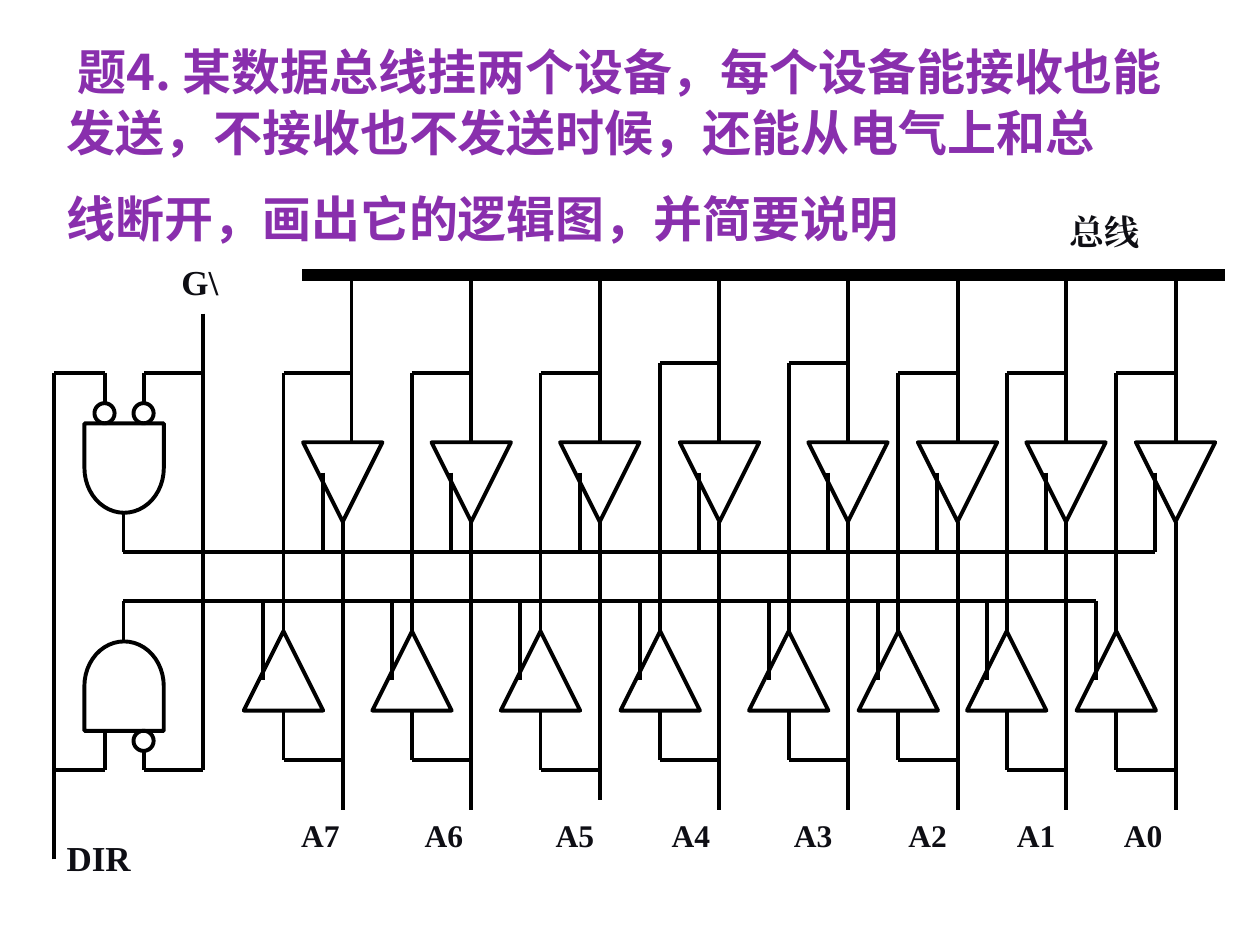
from itertools import pairwise
from lxml.etree import SubElement
from pptx import Presentation
from pptx.dml.color import RGBColor
from pptx.enum.shapes import MSO_CONNECTOR, MSO_SHAPE
from pptx.enum.text import MSO_ANCHOR
from pptx.oxml.ns import qn
from pptx.util import Inches, Pt

TITLE = [
    "题4. 某数据总线挂两个设备，每个设备能接收也能发送，不接收也不发送时候，还能从电气上和总",
    "线断开，画出它的逻辑图，并简要说明",
]
BITS = [
    ("A7", 2.72, 2.39, 2.96, 6.03),
    ("A6", 3.74, 3.37, 2.96, 6.03),
    ("A5", 4.76, 4.41, 2.96, 6.11),
    ("A4", 5.71, 5.33, 2.88, 6.03),
    ("A3", 6.73, 6.30, 2.88, 6.03),
    ("A2", 7.60, 7.21, 2.96, 6.03),
    ("A1", 8.46, 8.07, 2.96, 6.11),
    ("A0", 9.33, 8.92, 2.96, 6.11),
]
NOTES = [
    ("总线", 8.39, 1.62, 0.1),
    ("G\\", 1.14, 2.02, 0.3),
    ("DIR", 0.43, 6.59, 0.1),
]
GATES = [(3.4, 90), (5.13, 270)]
DOTS = [(1.06, 5.8), (1.06, 3.2), (0.75, 3.2)]
WIRES = [
    [(0.98, 4.06), (0.98, 4.38), (9.17, 4.38)],
    [(0.98, 5.09), (0.98, 4.77), (8.7, 4.77)],
    [(1.61, 2.49), (1.61, 6.11), (1.14, 6.11), (1.14, 5.95)],
    [(1.61, 2.96), (1.14, 2.96), (1.14, 3.2)],
    [(0.43, 6.82), (0.43, 2.96), (0.83, 2.96), (0.83, 3.2)],
    [(0.43, 6.11), (0.83, 6.11), (0.83, 5.8)],
]
THEME = {
    "ink": RGBColor(0, 0, 0), "word": RGBColor(0x0E, 0x0E, 0x14),
    "head": RGBColor(0x89, 0x2F, 0xAD),
    "serif": "Times New Roman", "sans": "Noto Sans CJK SC",
    "title": 28, "note": 20, "bit": 18, "line": 2.24, "bus": 7,
}
SIDE = 0.63
SHIFT = 0.47
STEP = 0.16

deck = Presentation()
deck.slide_width, deck.slide_height = Inches(10), Inches(7.5)
slide = deck.slides.add_slide(deck.slide_layouts[6])


def write(lines, left, top, width, height, size, font=THEME["serif"],
          color=THEME["word"], pad=0.1, anchor=MSO_ANCHOR.TOP,
          lead=None, gap=0, dent=0, tabs=()):
    box = slide.shapes.add_textbox(*map(Inches, (left, top, width, height)))
    frame = box.text_frame
    frame.word_wrap = True
    frame.vertical_anchor = anchor
    frame.margin_left = Inches(pad)
    for row, text in enumerate(lines):
        para = frame.add_paragraph() if row else frame.paragraphs[0]
        if lead:
            para.line_spacing = Pt(lead)
        if row:
            para.space_before = Pt(gap)
        props = para._p.get_or_add_pPr()
        if dent and not row:
            props.set("indent", str(Inches(dent)))
        if tabs:
            stops = SubElement(props, qn("a:tabLst"))
            for stop in tabs:
                SubElement(stops, qn("a:tab"), pos=str(Inches(stop)), algn="l")
        run = para.add_run()
        run.text = text
        run.font.size, run.font.bold = Pt(size), True
        run.font.name = font
        run.font.color.rgb = color
        SubElement(run._r.get_or_add_rPr(), qn("a:ea"), typeface=font)


def wire(*dots, width=THEME["line"]):
    for start, end in pairwise(dots):
        line = slide.shapes.add_connector(
            MSO_CONNECTOR.STRAIGHT, *map(Inches, (*start, *end)))
        line.line.color.rgb = THEME["ink"]
        line.line.width = Pt(width)
        SubElement(line._element.spPr, qn("a:effectLst"))


def shape(kind, left, top, width, height, turn=0):
    item = slide.shapes.add_shape(kind, *map(Inches, (left, top, width, height)))
    item.rotation = turn
    item.shadow.inherit = False
    item.fill.background()
    item.line.color.rgb = THEME["ink"]
    item.line.width = Pt(THEME["line"])


write(TITLE, 0.43, 0.28, 8.9, 1.73, THEME["title"], font=THEME["sans"],
      color=THEME["head"], anchor=MSO_ANCHOR.BOTTOM, lead=34.9, gap=14, dent=0.09)

wire((2.4, 2.18), (9.72, 2.18), width=THEME["bus"])
for name, down, _, tap, foot in BITS:
    up = down - SHIFT
    top = 2.79 if name == "A7" else down
    end = 6.35 if name == "A5" else 6.43
    shape(MSO_SHAPE.ISOSCELES_TRIANGLE, down - SIDE / 2, 3.51, SIDE, SIDE, 180)
    shape(MSO_SHAPE.ISOSCELES_TRIANGLE, up - SIDE / 2, 5.01, SIDE, SIDE)
    wire((top, 2.18), (top, 3.51))
    wire((down, 4.14), (down, end))
    wire((up, 5.01), (up, tap), (top, tap))
    wire((up, 5.64), (up, foot), (down, foot))
    wire((down - STEP, 3.75), (down - STEP, 4.38))
    wire((up - STEP, 4.77), (up - STEP, 5.4))

for top, turn in GATES:
    shape(MSO_SHAPE.FLOWCHART_DELAY, 0.63, top, 0.71, SIDE, turn)
for left, top in DOTS:
    shape(MSO_SHAPE.FLOWCHART_CONNECTOR, left, top, STEP, STEP)
for dots in WIRES:
    wire(*dots)

first = BITS[0][2]
write(["\t".join(bit[0] for bit in BITS)], 2.24, 6.43, 7.48, 0.4, THEME["bit"],
      pad=first - 2.24, tabs=[bit[2] - first for bit in BITS[1:]])
for text, left, top, pad in NOTES:
    write([text], left, top, 0.87, 0.44, THEME["note"], pad=pad)

deck.save("out.pptx")
